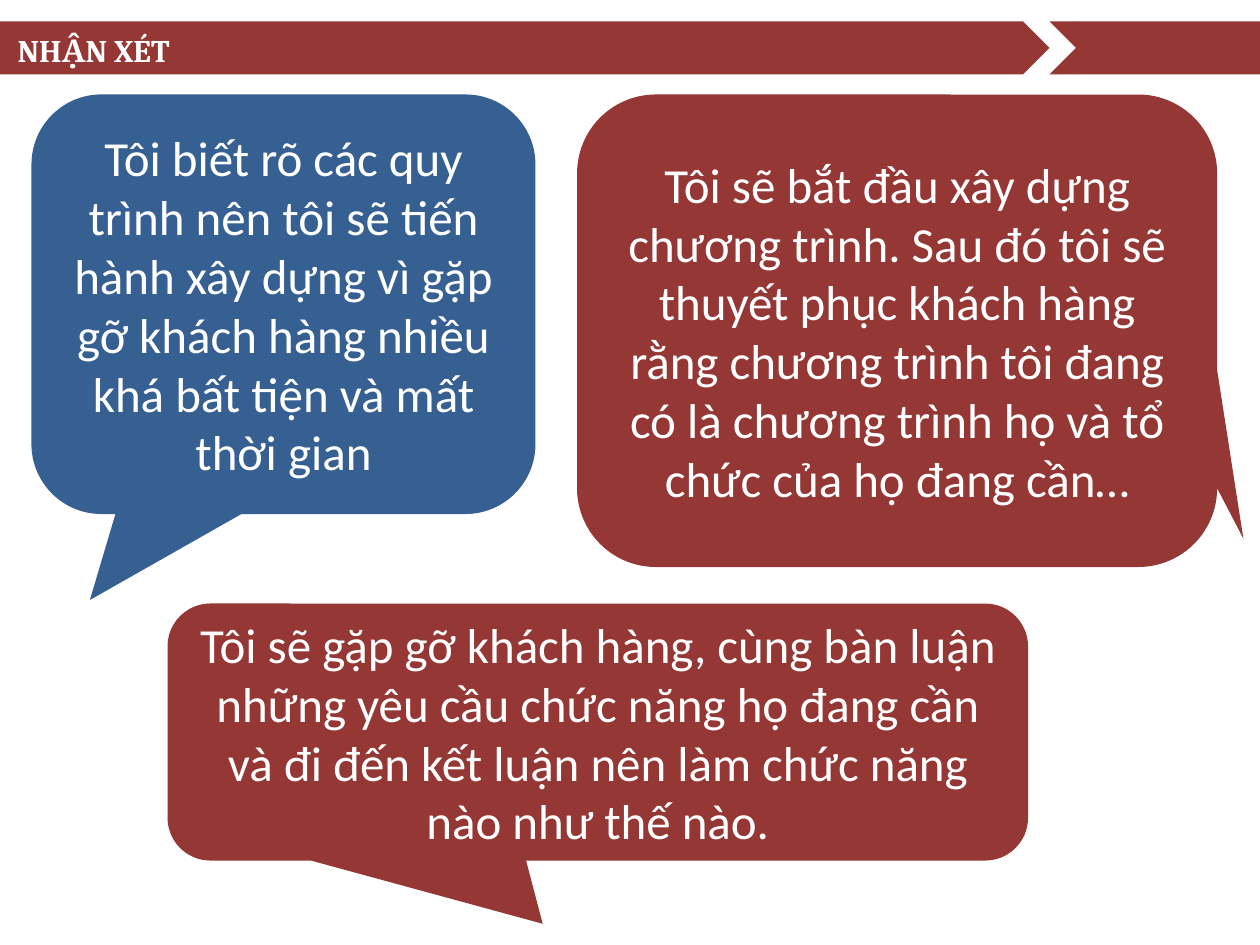
import pptx
import pptx.util
import pptx.dml.color
import pptx.enum.shapes
import pptx.enum.text

Inches = pptx.util.Inches
SHAPES = pptx.enum.shapes.MSO_SHAPE
ALIGN = pptx.enum.text.PP_ALIGN
RED, BLUE, WHITE = "953735", "376092", "FFFFFF"


def write_text(shape, text, font="Calibri", size=28, color=WHITE, bold=False, align=ALIGN.CENTER):
    """Put formatted, vertically centred text into a shape."""
    frame = shape.text_frame
    frame.word_wrap = True
    frame.auto_size = pptx.enum.text.MSO_AUTO_SIZE.NONE
    frame.vertical_anchor = pptx.enum.text.MSO_ANCHOR.MIDDLE
    paragraph = frame.paragraphs[0]
    paragraph.alignment = align
    run = paragraph.add_run()
    run.text = text
    run.font.name = font
    run.font.size = pptx.util.Pt(size)
    run.font.bold = bold
    run.font.color.rgb = pptx.dml.color.RGBColor.from_string(color)


def add_filled_shape(kind, box, color, adjustments=()):
    """Add a flat preset shape without an outline."""
    shape = slide.shapes.add_shape(kind, *[Inches(length) for length in box])
    shape.shadow.inherit = False
    shape.fill.solid()
    shape.fill.fore_color.rgb = pptx.dml.color.RGBColor.from_string(color)
    shape.line.fill.background()
    for index, value in enumerate(adjustments):
        shape.adjustments[index] = value
    return shape


presentation = pptx.Presentation()
presentation.slide_width = Inches(10)
presentation.slide_height = Inches(7.5)
slide = presentation.slides.add_slide(presentation.slide_layouts[5])

# Header band
BAND_TOP, BAND_HEIGHT = 0.17, 0.42
band_parts = [
    (SHAPES.PENTAGON, 0, 8.33, ()),
    (SHAPES.PENTAGON, 8.54, 1.46, (0,)),
    (SHAPES.CHEVRON, 8.33, BAND_HEIGHT, ()),
]
for kind, left, width, adjustments in band_parts:
    add_filled_shape(kind, (left, BAND_TOP, width, BAND_HEIGHT), RED, adjustments)

# Title, brought in front of the band
title = slide.shapes.title
title.left, title.top = Inches(0.04), Inches(BAND_TOP)
title.width, title.height = Inches(7.1), Inches(0.45)
write_text(title, "NHẬN XÉT", font="Cambria", size=18, bold=True, align=ALIGN.LEFT)
slide.shapes._spTree.append(title._element)

# Speech bubbles: box, colour, pointer tip, text
bubbles = [
    ((4.58, 0.75, 5.08, 3.75), RED, (0.541, 0.44),
     "Tôi sẽ bắt đầu xây dựng chương trình. Sau đó tôi sẽ thuyết phục khách hàng "
     "rằng chương trình tôi đang có là chương trình họ và tổ chức của họ đang cần…"),
    ((0.25, 0.75, 4, 3.33), BLUE, (-0.384, 0.705),
     "Tôi biết rõ các quy trình nên tôi sẽ tiến hành xây dựng vì gặp gỡ khách hàng "
     "nhiều khá bất tiện và mất thời gian"),
    ((1.33, 4.79, 6.83, 2.04), RED, (-0.064, 0.746),
     "Tôi sẽ gặp gỡ khách hàng, cùng bàn luận những yêu cầu chức năng họ đang cần "
     "và đi đến kết luận nên làm chức năng nào như thế nào."),
]
for box, color, tip, text in bubbles:
    bubble = add_filled_shape(SHAPES.ROUNDED_RECTANGULAR_CALLOUT, box, color, tip)
    write_text(bubble, text)

presentation.save("out.pptx")
